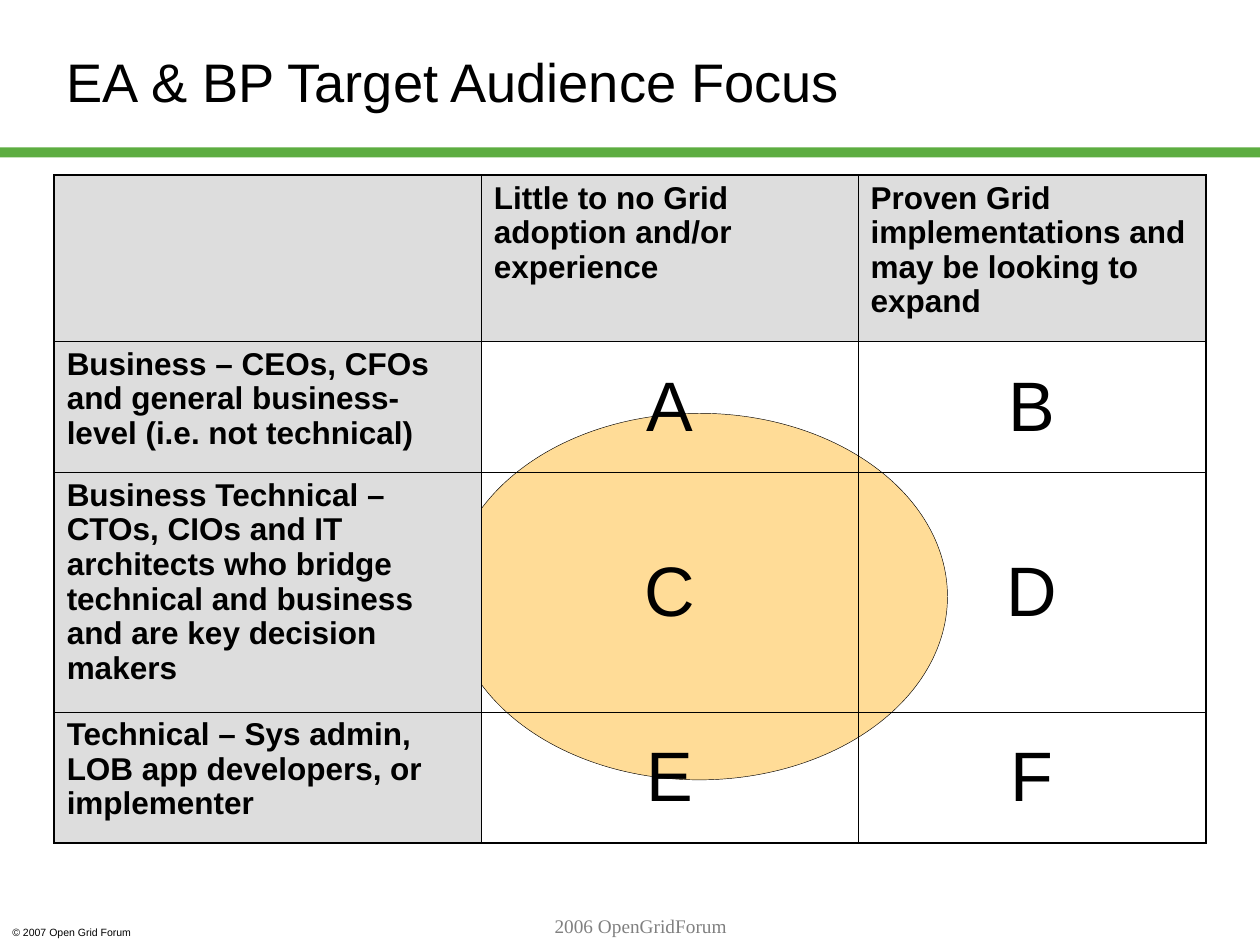
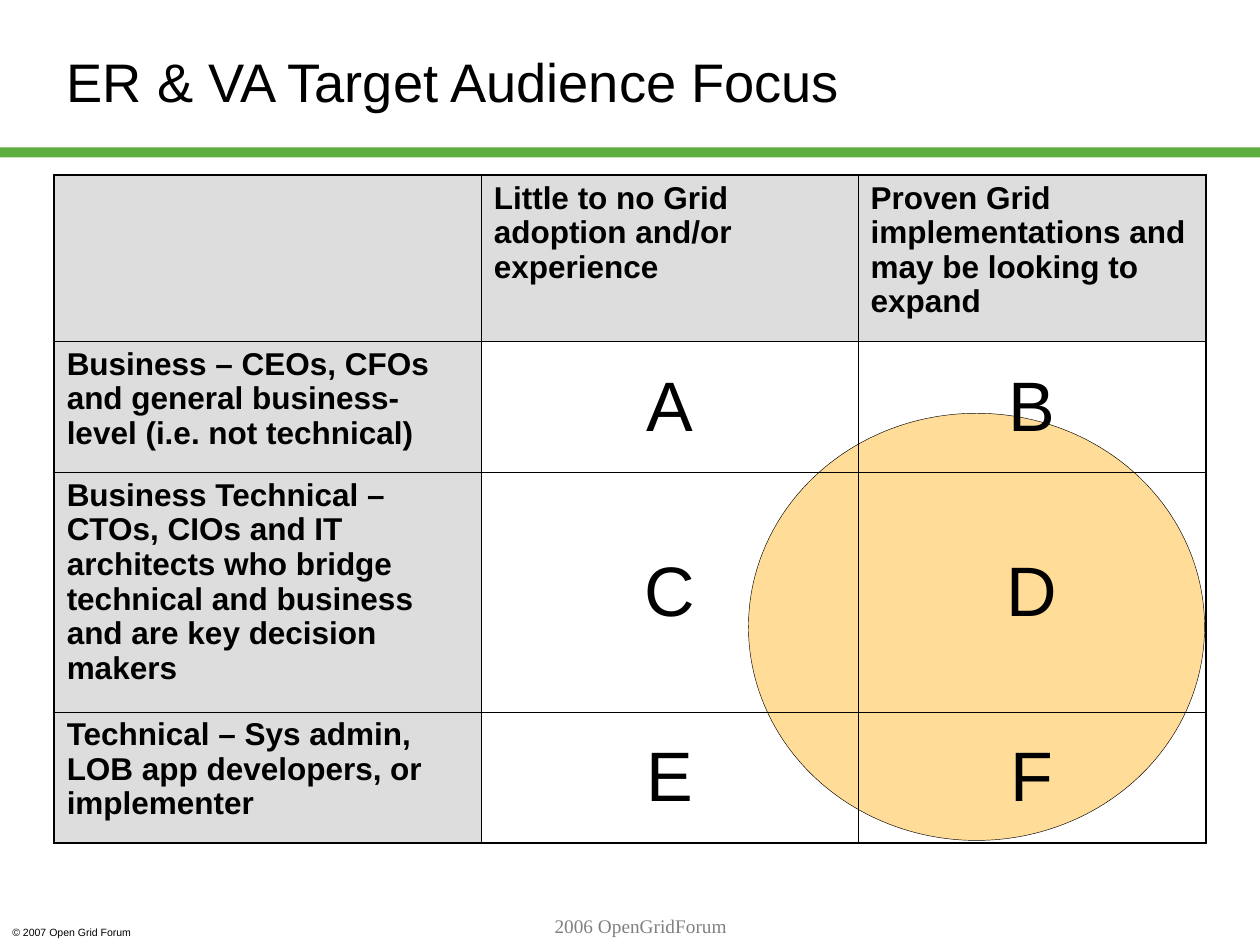
from dataclasses import dataclass
from typing import Any

from lxml import etree
from pptx import Presentation
from pptx.dml.color import RGBColor
from pptx.enum.shapes import MSO_SHAPE
from pptx.enum.text import MSO_ANCHOR, PP_ALIGN
from pptx.oxml.ns import qn
from pptx.util import Inches, Pt

LEFT, CENTER = PP_ALIGN.LEFT, PP_ALIGN.CENTER
TOP, MIDDLE = MSO_ANCHOR.TOP, MSO_ANCHOR.MIDDLE
RECT, OVAL = MSO_SHAPE.RECTANGLE, MSO_SHAPE.OVAL
TITLE_ONLY = 5


@dataclass(frozen=True)
class Style:
    size: float
    color: str = "000000"
    font: str = "Arial"
    bold: bool = False
    align: Any = LEFT
    spacing: float = 1.0


@dataclass(frozen=True)
class Theme:
    band: str = "5DAD41"
    label: str = "DDDDDD"
    focus: str = "FFDC97"
    line: str = "000000"
    hair: float = 0.25
    inner: float = 0.45
    outer: float = 1.08
    title: Style = Style(31)
    head: Style = Style(18, bold=True, spacing=0.98)
    letter: Style = Style(40, align=CENTER)
    rights: Style = Style(6)
    footer: Style = Style(11, "808080", "Times New Roman", align=CENTER)


@dataclass(frozen=True)
class Box:
    left: float
    top: float
    width: float
    height: float

    def emu(self) -> list[int]:
        return [Inches(v) for v in (self.left, self.top, self.width, self.height)]


@dataclass(frozen=True)
class Page:
    title: str
    focus: Box


THEME = Theme()
TITLE = Box(0.43, 0.13, 7.24, 1.02)
BAND = Box(0, 1.17, 10, 0.08)
GRID = Box(0.43, 1.39, 9.14, 5.3)
RIGHTS = Box(0, 7.3, 1.5, 0.2)
FOOTER = Box(2.17, 7.21, 5.83, 0.28)

WIDTHS = (3.39, 2.99, 2.76)
HEIGHTS = (1.32, 1.04, 1.9, 1.04)
CELLS = (
    ("", "Little to no Grid adoption and/or experience",
     "Proven Grid implementations and may be looking to expand"),
    ("Business – CEOs, CFOs and general business-level (i.e. not technical)",
     "A", "B"),
    ("Business Technical – CTOs, CIOs and IT architects who bridge technical "
     "and business and are key decision makers", "C", "D"),
    ("Technical – Sys admin, LOB app developers, or implementer", "E", "F"),
)
PAGES = (
    Page("EA & BP Target Audience Focus", Box(3.58, 3.28, 3.94, 2.91)),
    Page("ER & VA Target Audience Focus", Box(5.94, 3.28, 3.62, 3.39)),
)


def write(frame: Any, text: str, style: Style) -> None:
    frame.word_wrap = True
    para = frame.paragraphs[0]
    para.text = text
    para.alignment = style.align
    para.line_spacing = style.spacing
    para.font.name = style.font
    para.font.size = Pt(style.size)
    para.font.bold = style.bold
    para.font.color.rgb = RGBColor.from_string(style.color)


def add_text(slide: Any, box: Box, text: str, style: Style) -> None:
    write(slide.shapes.add_textbox(*box.emu()).text_frame, text, style)


def add_form(slide: Any, kind: Any, box: Box, fill: str, line: float = 0) -> None:
    """Draw a filled shape, outlined only if a line width is given."""
    form = slide.shapes.add_shape(kind, *box.emu())
    form.shadow.inherit = False
    form.fill.solid()
    form.fill.fore_color.rgb = RGBColor.from_string(fill)
    if line:
        form.line.width = Pt(line)
        form.line.color.rgb = RGBColor.from_string(THEME.line)
    else:
        form.line.fill.background()


def set_edges(cell: Any, row: int, col: int) -> None:
    """Rule the cell, with a heavier line on the outside of the grid."""
    outer = {
        "a:lnL": col == 0,
        "a:lnR": col == len(WIDTHS) - 1,
        "a:lnT": row == 0,
        "a:lnB": row == len(HEIGHTS) - 1,
    }
    props = cell._tc.get_or_add_tcPr()
    for tag, heavy in outer.items():
        width = Pt(THEME.outer if heavy else THEME.inner)
        edge = etree.SubElement(props, qn(tag), w=str(width))
        fill = etree.SubElement(edge, qn("a:solidFill"))
        etree.SubElement(fill, qn("a:srgbClr"), val=THEME.line)


def add_grid(slide: Any) -> None:
    table = slide.shapes.add_table(len(HEIGHTS), len(WIDTHS), *GRID.emu()).table
    table.first_row = table.horz_banding = False
    for column, width in zip(table.columns, WIDTHS):
        column.width = Inches(width)
    for line, height in zip(table.rows, HEIGHTS):
        line.height = Inches(height)
    for row, texts in enumerate(CELLS):
        for col, text in enumerate(texts):
            cell = table.cell(row, col)
            label = row == 0 or col == 0
            set_edges(cell, row, col)
            if label:
                cell.fill.solid()
                cell.fill.fore_color.rgb = RGBColor.from_string(THEME.label)
            else:
                cell.fill.background()
            cell.vertical_anchor = TOP if label else MIDDLE
            write(cell.text_frame, text, THEME.head if label else THEME.letter)


def set_title(slide: Any, text: str) -> None:
    title = slide.shapes.title
    title.left, title.top, title.width, title.height = TITLE.emu()
    title.text_frame.vertical_anchor = MIDDLE
    write(title.text_frame, text, THEME.title)


def add_page(deck: Any, page: Page) -> None:
    slide = deck.slides.add_slide(deck.slide_layouts[TITLE_ONLY])
    set_title(slide, page.title)
    add_form(slide, RECT, BAND, THEME.band)
    add_text(slide, RIGHTS, "© 2007 Open Grid Forum", THEME.rights)
    add_form(slide, OVAL, page.focus, THEME.focus, THEME.hair)
    add_grid(slide)
    add_text(slide, FOOTER, "2006 OpenGridForum", THEME.footer)


def main() -> None:
    deck = Presentation()
    deck.slide_width, deck.slide_height = Inches(10), Inches(7.5)
    for page in PAGES:
        add_page(deck, page)
    deck.save("out.pptx")


if __name__ == "__main__":
    main()
